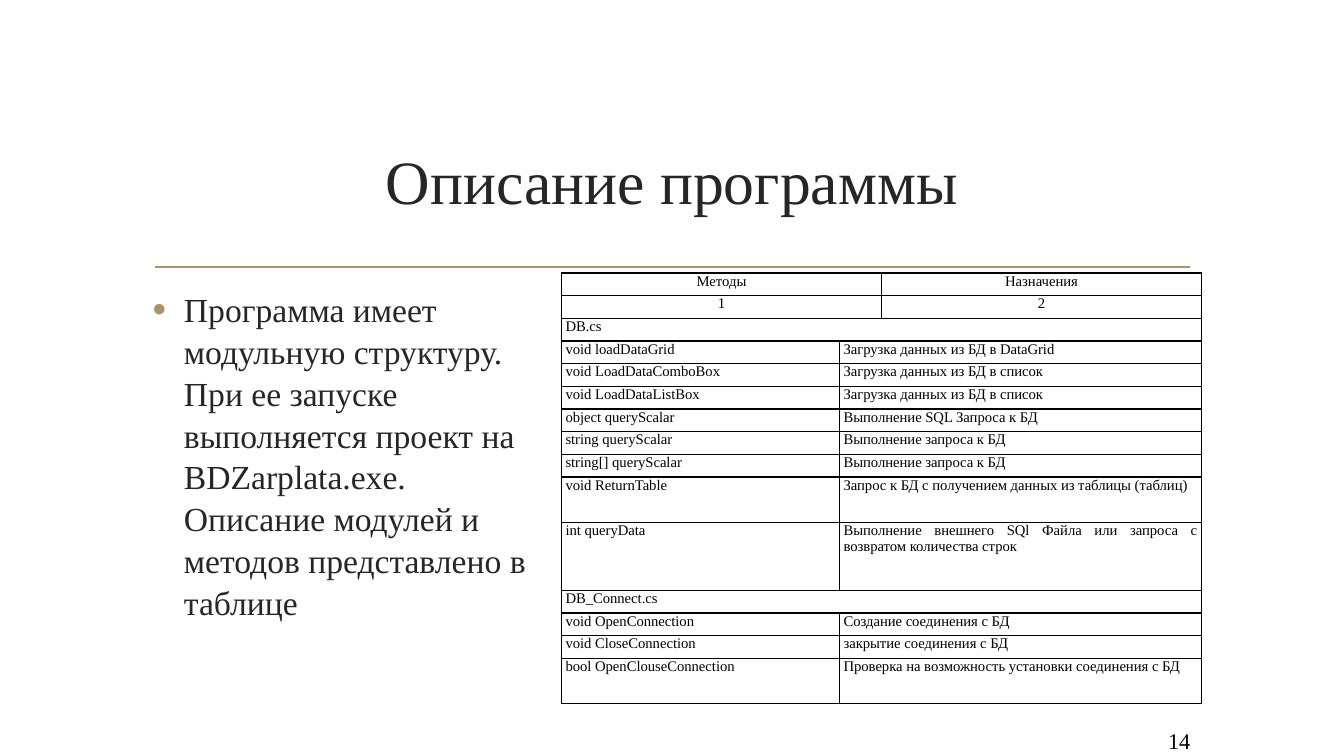
from dataclasses import dataclass

from lxml.etree import SubElement as Sub
from pptx import Presentation as Deck
from pptx.dml.color import RGBColor
from pptx.enum.shapes import MSO_CONNECTOR as Link
from pptx.enum.text import MSO_ANCHOR as Anchor, PP_ALIGN as Align
from pptx.oxml.ns import qn
from pptx.util import Emu, Inches, Pt

FACE = "Times New Roman"
BLACK = RGBColor(0x00, 0x00, 0x00)
DARK = RGBColor(0x26, 0x26, 0x26)
GOLD = RGBColor(0xAB, 0x94, 0x6B)

# The slide is a grid of 160 columns by 90 rows.
WIDE, HIGH = Inches(13.33), Inches(7.5)
COLS, ROWS = 160, 90

TABLE_LEFT, TABLE_TOP = 66.85, 32.5
WIDTHS = (33.1, 5, 38.1)
STEP = 2.7


@dataclass
class Label:
    text: str
    left: float
    top: float
    width: float
    height: float
    size: float
    color: RGBColor
    align: Align
    anchor: Anchor = Anchor.MIDDLE


@dataclass
class Row:
    texts: tuple[str, ...]
    split: int = 1  # columns taken by the first cell
    steps: int = 1
    align: Align = Align.JUSTIFY


TITLE = Label("Описание программы", 17, 12.85, 126, 17.15, 44, DARK, Align.CENTER)
BODY = Label(
    "Программа имеет модульную структуру. При ее запуске выполняется проект на "
    "BDZarplata.exe. Описание модулей и методов представлено в таблице",
    17, 33.6, 50.2, 43.5, 24, DARK, Align.LEFT, Anchor.TOP)
PAGE = Label("14", 135.8, 86.3, 7.1, 3.7, 16, BLACK, Align.RIGHT)

LINES = (
    Row(("Методы", "Назначения"), 2, align=Align.CENTER),
    Row(("1", "2"), 2, align=Align.CENTER),
    Row(("DB.cs",), 3),
    Row(("void loadDataGrid", "Загрузка данных из БД в DataGrid")),
    Row(("void LoadDataComboBox", "Загрузка данных из БД в список")),
    Row(("void LoadDataListBox", "Загрузка данных из БД в список")),
    Row(("object queryScalar", "Выполнение SQL Запроса к БД")),
    Row(("string queryScalar", "Выполнение запроса к БД")),
    Row(("string[] queryScalar", "Выполнение запроса к БД")),
    Row(("void ReturnTable", "Запрос к БД с получением данных из таблицы (таблиц)"), steps=2),
    Row(("int queryData",
         "Выполнение внешнего SQl Файла или запроса с возвратом количества строк"), steps=3),
    Row(("DB_Connect.cs",), 3),
    Row(("void OpenConnection", "Создание соединения с БД")),
    Row(("void CloseConnection", "закрытие соединения с БД")),
    Row(("bool OpenClouseConnection", "Проверка на возможность установки соединения с БД"), steps=2),
)


def across(cols: float) -> Emu:
    return Emu(round(WIDE * cols / COLS))


def down(rows: float) -> Emu:
    return Emu(round(HIGH * rows / ROWS))


def apply(item, form: dict) -> None:
    for name, value in form.items():
        setattr(item, name, value)


def write(frame, text: str, size: float, color: RGBColor, align: Align):
    """Fill the first paragraph of a frame and return it."""
    para = frame.paragraphs[0]
    para.alignment = align
    run = para.add_run()
    run.text = text
    apply(run.font, {"name": FACE, "size": Pt(size)})
    run.font.color.rgb = color
    return para


def add_label(slide, label: Label):
    box = slide.shapes.add_textbox(across(label.left), down(label.top),
                                   across(label.width), down(label.height))
    apply(box.text_frame, {"word_wrap": True, "vertical_anchor": label.anchor})
    return write(box.text_frame, label.text, label.size, label.color, label.align)


def add_bullet(para) -> None:
    apply(para, {"line_spacing": 1.04, "space_before": Pt(1.5), "space_after": Pt(6)})
    props = para._p.get_or_add_pPr()
    props.set("marL", str(Inches(0.31)))
    props.set("indent", str(-Inches(0.31)))
    Sub(Sub(props, qn("a:buClr")), qn("a:srgbClr"), val=str(GOLD))
    Sub(props, qn("a:buSzPct"), val="115000")
    Sub(props, qn("a:buFont"), typeface="Arial")
    Sub(props, qn("a:buChar"), char="•")


def add_rule(slide) -> None:
    rule = slide.shapes.add_connector(Link.STRAIGHT, across(18.4), down(31.8),
                                      across(141.7), down(31.8))
    rule.line.color.rgb = GOLD
    rule.line.width = Pt(1.25)
    Sub(rule._element.spPr, qn("a:effectLst"))


def add_frame(cell) -> None:
    """Draw thin black borders on all four sides of a cell."""
    props = cell._tc.get_or_add_tcPr()
    for place, side in enumerate("LRTB"):
        edge = Sub(props, qn(f"a:ln{side}"), w=str(Pt(1)))
        Sub(Sub(edge, qn("a:solidFill")), qn("a:srgbClr"), val=str(BLACK))
        props.insert(place, edge)


def add_grid(slide) -> None:
    total = sum(line.steps for line in LINES)
    table = slide.shapes.add_table(
        len(LINES), len(WIDTHS), across(TABLE_LEFT), down(TABLE_TOP),
        across(sum(WIDTHS)), down(total * STEP)).table
    apply(table, {"first_row": False, "horz_banding": False})
    for col, width in zip(table.columns, WIDTHS):
        col.width = across(width)
    inset = {"margin_left": Inches(0.04), "margin_right": Inches(0.04),
             "margin_top": 0, "margin_bottom": 0}
    last = len(WIDTHS) - 1
    for index, line in enumerate(LINES):
        table.rows[index].height = down(line.steps * STEP)
        for col in range(len(WIDTHS)):
            cell = table.cell(index, col)
            apply(cell, inset)
            cell.fill.background()
            add_frame(cell)
        spans = ((0, line.split - 1), (line.split, last))
        for text, (start, end) in zip(line.texts, spans):
            cell = table.cell(index, start)
            if end > start:
                cell.merge(table.cell(index, end))
            write(cell.text_frame, text, 10.5, BLACK, line.align)


def main() -> None:
    deck = Deck()
    apply(deck, {"slide_width": WIDE, "slide_height": HIGH})
    slide = deck.slides.add_slide(deck.slide_layouts[6])
    add_rule(slide)
    add_label(slide, TITLE)
    add_bullet(add_label(slide, BODY))
    add_grid(slide)
    add_label(slide, PAGE)
    deck.save("out.pptx")


if __name__ == "__main__":
    main()
